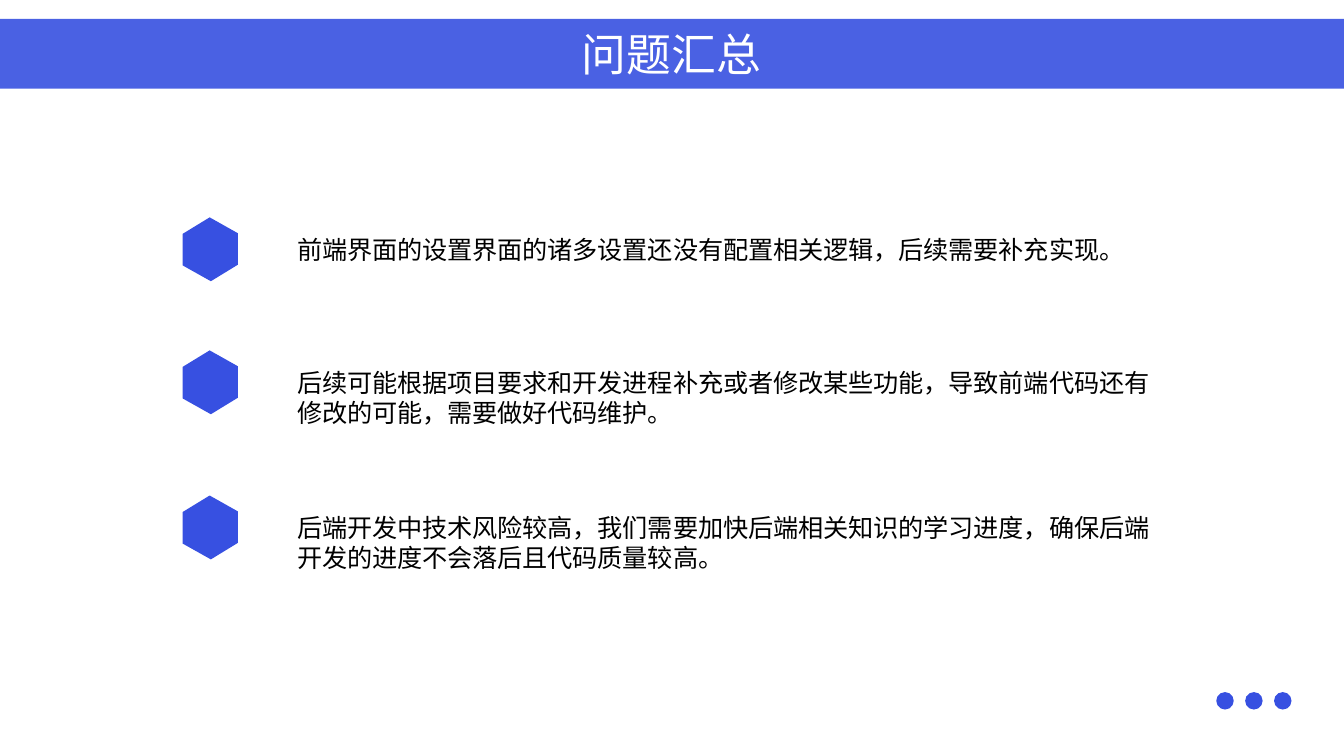
import pptx
import pptx.dml.color
import pptx.enum.shapes
import pptx.enum.text
import pptx.oxml
import pptx.oxml.ns
import pptx.util

WIDE = 10
HIGH = WIDE * 9 / 16
FONT = "Noto Sans CJK SC"
COLORS = {"blue": "3750E1", "white": "FFFFFF", "black": "000000"}
KIND = pptx.enum.shapes.MSO_SHAPE
ALIGN = pptx.enum.text.PP_ALIGN

# Top of each row, height of its text, and its words
ROWS = [
    (1.65, 0.33, "前端界面的设置界面的诸多设置还没有配置相关逻辑，后续需要补充实现。"),
    (2.64, 0.56, "后续可能根据项目要求和开发进程补充或者修改某些功能，"
                 "导致前端代码还有修改的可能，需要做好代码维护。"),
    (3.72, 0.56, "后端开发中技术风险较高，我们需要加快后端相关知识的学习进度，"
                 "确保后端开发的进度不会落后且代码质量较高。"),
]


def color(name):
    return pptx.dml.color.RGBColor.from_string(COLORS[name])


def place(shape, *box):
    shape.left, shape.top, shape.width, shape.height = map(pptx.util.Inches, box)


def make(near, tag, **attrs):
    return near.makeelement(pptx.oxml.ns.qn(tag), attrs)


def draw(slide, kind, *box):
    shape = slide.shapes.add_shape(kind, *map(pptx.util.Inches, box))
    shape.shadow.inherit = False
    shape.fill.solid()
    shape.fill.fore_color.rgb = color("blue")
    shape.line.fill.background()
    return shape


def write(holder, text, size, tint, align, box):
    place(holder, *box)
    frame = holder.text_frame
    frame.word_wrap = True
    frame.auto_size = pptx.enum.text.MSO_AUTO_SIZE.SHAPE_TO_FIT_TEXT
    frame.vertical_anchor = pptx.enum.text.MSO_ANCHOR.TOP
    para = frame.paragraphs[0]
    props = para._p.get_or_add_pPr()
    props.set("marL", "0")
    props.set("indent", "0")
    props.append(make(props, "a:buNone"))
    para.alignment = align
    para.space_before = pptx.util.Pt(0)
    para.line_spacing = 1.0
    run = para.add_run()
    run.text = text
    font = run.font
    font.name, font.size, font.bold = FONT, pptx.util.Pt(size), False
    font.color.rgb = color(tint)
    # East Asian typeface, right after the latin one
    latin = run._r.rPr.find(pptx.oxml.ns.qn("a:latin"))
    latin.addnext(make(latin, "a:ea", typeface=FONT))


def add_title(slide):
    title = slide.shapes.title
    band = draw(slide, KIND.PARALLELOGRAM, 0, 0.14, WIDE, 0.52)
    band.adjustments[0] = 0
    tint = band.element.spPr.find(".//" + pptx.oxml.ns.qn("a:srgbClr"))
    tint.append(make(tint, "a:alpha", val="90000"))
    title.element.addprevious(band.element)
    frame = title.text_frame
    frame.margin_left = frame.margin_right = 0
    frame.margin_top = frame.margin_bottom = 0
    write(title, "问题汇总", 24, "white", ALIGN.JUSTIFY, (4.33, 0.2, 1.34, 0.4))


def add_row(slide, holder, top, tall, text):
    mark = draw(slide, KIND.HEXAGON, 1.33, top, 0.47, 0.41)
    mark.rotation = 29.3
    mark.adjustments[0] = 0.28
    mark.adjustments[1] = 1.155
    write(holder, text, 13.5, "black", ALIGN.LEFT, (2.11, top + 0.04, 6.64, tall))


def main():
    deck = pptx.Presentation()
    deck.slide_width = pptx.util.Inches(WIDE)
    deck.slide_height = pptx.util.Inches(HIGH)
    # Comparison layout: a title and four bodies
    slide = deck.slides.add_slide(deck.slide_layouts[4])
    bodies = [p for p in slide.placeholders if 1 <= p.placeholder_format.idx <= 4]

    # Title band
    add_title(slide)

    # Problem list
    for holder, row in zip(bodies, ROWS):
        add_row(slide, holder, *row)
    for spare in bodies[len(ROWS):]:
        spare.element.getparent().remove(spare.element)

    # Corner dots
    for col in range(3):
        draw(slide, KIND.OVAL, 9.05 + col * 0.215, 5.15, 0.13, 0.13)

    deck.save("out.pptx")


if __name__ == "__main__":
    main()
